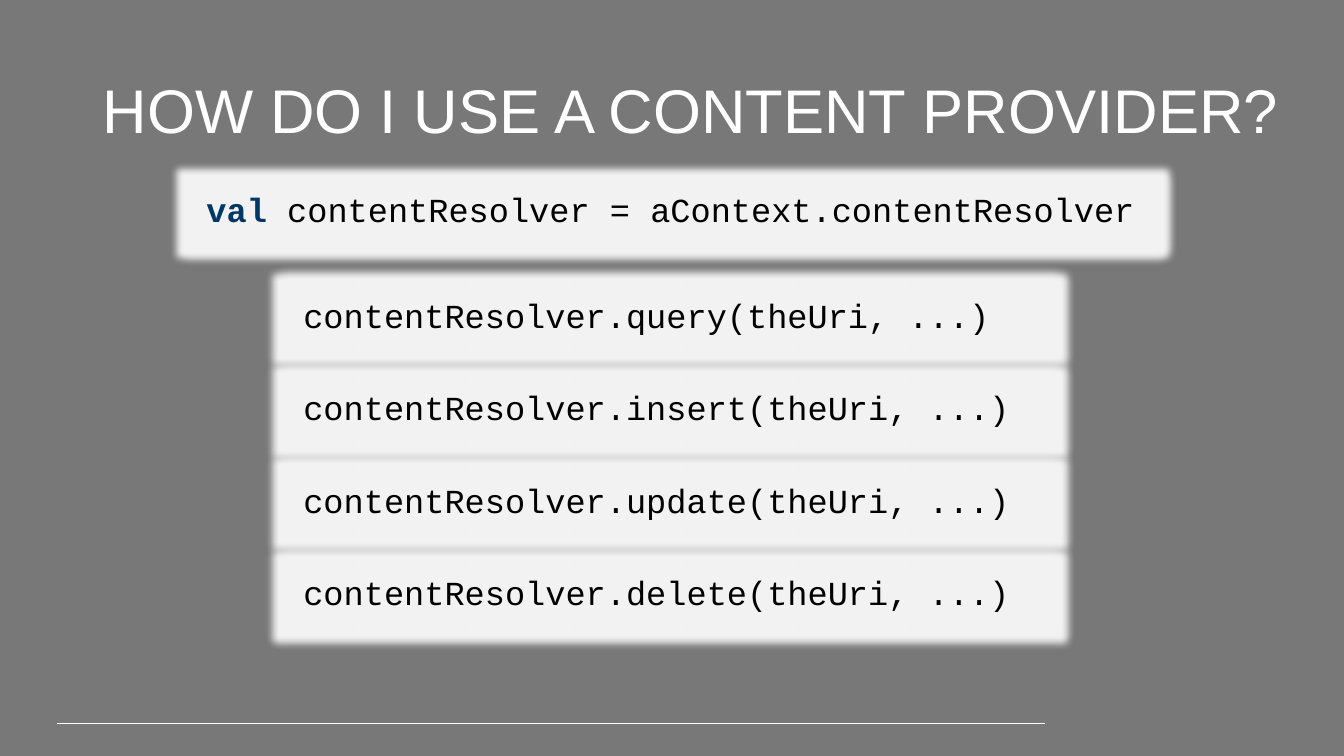
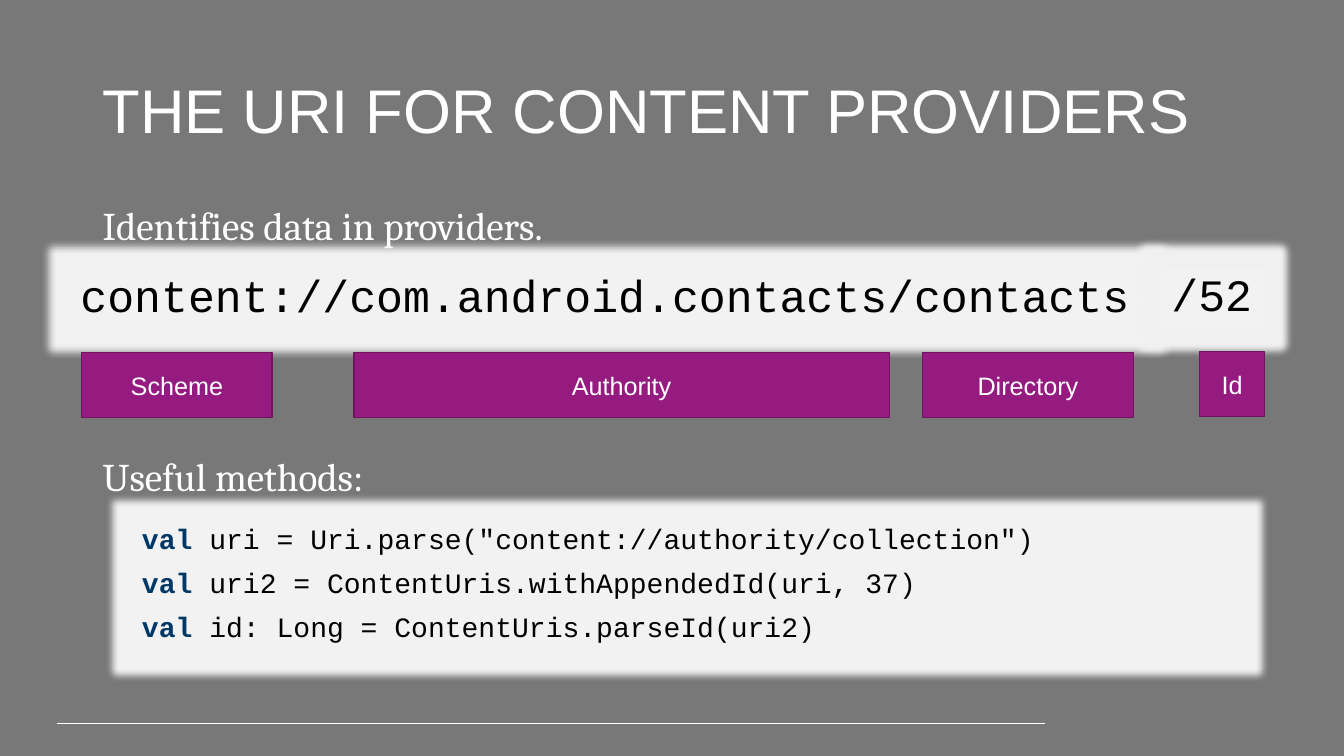
from dataclasses import dataclass

from lxml.etree import SubElement
from pptx import Presentation
from pptx.dml.color import RGBColor
from pptx.enum.shapes import MSO_CONNECTOR, MSO_SHAPE
from pptx.enum.text import MSO_ANCHOR, MSO_AUTO_SIZE, PP_ALIGN
from pptx.oxml.ns import qn
from pptx.util import Inches, Pt


@dataclass(frozen=True)
class Theme:
    background: str = "787878"
    light: str = "FFFFFF"
    panel: str = "F2F2F2"
    code: str = "000000"
    keyword: str = "003865"
    label_fill: str = "961B81"
    label_line: str = "6F145F"
    title_font: str = "Arial"
    body_font: str = "Cambria"
    code_font: str = "Courier New"
    title_size: int = 44
    body_size: int = 28
    label_size: int = 18
    uri_size: int = 32
    call_size: int = 24
    sample_size: int = 20
    line_spacing: float = 0.9
    paragraph_gap: int = 10
    glow_radius: float = 0.15


class Deck:
    def __init__(self, theme):
        self.theme = theme
        self.deck = Presentation()
        self.deck.slide_width = Inches(13.33)
        self.deck.slide_height = Inches(7.5)
        self.page = None

    def add_page(self, title, title_width=11.5):
        self.page = self.deck.slides.add_slide(self.deck.slide_layouts[6])
        fill = self.page.background.fill
        fill.solid()
        fill.fore_color.rgb = RGBColor.from_string(self.theme.background)
        self.footer_rule()
        self.text((0.92, 0.4, title_width, 1.45), title, self.theme.title_font,
                  self.theme.title_size, MSO_ANCHOR.MIDDLE)

    def footer_rule(self):
        rule = self.page.shapes.add_connector(
            MSO_CONNECTOR.STRAIGHT, Inches(0.57), Inches(7.18), Inches(10.36), Inches(7.18))
        rule.line.color.rgb = RGBColor.from_string(self.theme.light)
        rule.line.width = Pt(0.75)
        SubElement(rule._element.spPr, qn("a:effectLst"))

    def text(self, place, words, font, size, anchor=MSO_ANCHOR.TOP):
        box = self.page.shapes.add_textbox(*map(Inches, place))
        self.set_frame(box, word_wrap=True, vertical_anchor=anchor)
        para = box.text_frame.paragraphs[0]
        para.line_spacing = self.theme.line_spacing
        self.add_span(para, words, self.theme.light, name=font, size=Pt(size))

    def body(self, top, words):
        self.text((0.92, top, 11.5, 0.67), words, self.theme.body_font, self.theme.body_size)

    def rectangle(self, place, fill):
        box = self.page.shapes.add_shape(MSO_SHAPE.RECTANGLE, *map(Inches, place))
        box.shadow.inherit = False
        box.fill.solid()
        box.fill.fore_color.rgb = RGBColor.from_string(fill)
        return box

    def code(self, place, lines, size):
        """Add a softly glowing panel of code with its leading keywords in bold."""
        box = self.rectangle(place, self.theme.panel)
        box.line.fill.background()
        self.add_glow(box)
        self.set_frame(box, word_wrap=True, vertical_anchor=MSO_ANCHOR.TOP,
                       auto_size=MSO_AUTO_SIZE.SHAPE_TO_FIT_TEXT)
        for index, line in enumerate(lines):
            para = box.text_frame.add_paragraph() if index else box.text_frame.paragraphs[0]
            para.alignment = PP_ALIGN.LEFT
            para.line_spacing = self.theme.line_spacing
            if index:
                para.space_before = Pt(self.theme.paragraph_gap)
            style = {"name": self.theme.code_font, "size": Pt(size)}
            keyword = "val " if line.startswith("val ") else ""
            if keyword:
                self.add_span(para, keyword, self.theme.keyword, bold=True, **style)
            self.add_span(para, line.removeprefix(keyword), self.theme.code, **style)

    def label(self, place, words):
        box = self.rectangle(place, self.theme.label_fill)
        box.line.color.rgb = RGBColor.from_string(self.theme.label_line)
        box.line.width = Pt(1)
        self.set_frame(box, word_wrap=True, vertical_anchor=MSO_ANCHOR.MIDDLE)
        para = box.text_frame.paragraphs[0]
        para.alignment = PP_ALIGN.CENTER
        self.add_span(para, words, self.theme.light, name=self.theme.title_font,
                      size=Pt(self.theme.label_size))

    def add_glow(self, box):
        effects = box._element.spPr.find(qn("a:effectLst"))
        glow = SubElement(effects, qn("a:glow"), rad=str(Inches(self.theme.glow_radius)))
        SubElement(glow, qn("a:srgbClr"), val=self.theme.panel)

    @staticmethod
    def set_frame(box, **formats):
        for name, value in formats.items():
            setattr(box.text_frame, name, value)

    @staticmethod
    def add_span(para, words, color, **formats):
        span = para.add_run()
        span.text = words
        span.font.color.rgb = RGBColor.from_string(color)
        for name, value in formats.items():
            setattr(span.font, name, value)


def add_usage_page(deck):
    size = deck.theme.call_size
    deck.add_page("HOW DO I USE A CONTENT PROVIDER?", title_width=11.96)
    deck.code((1.95, 1.87, 9.43, 0.47), ["val contentResolver = aContext.contentResolver"], size)
    methods = ("query", "insert", "update", "delete")
    first_top, last_top = 2.92, 5.67
    pitch = (last_top - first_top) / (len(methods) - 1)
    for row, method in enumerate(methods):
        deck.code((2.91, first_top + row * pitch, 7.45, 0.47),
                  [f"contentResolver.{method}(theUri, ...)"], size)


def add_uri_page(deck):
    deck.add_page("THE URI FOR CONTENT PROVIDERS")
    deck.body(2, "Identifies data in providers.")
    deck.code((0.7, 2.67, 10.63, 0.59), ["content://com.android.contacts/contacts"],
              deck.theme.uri_size)
    deck.code((11.52, 2.66, 1.02, 0.6), ["/52"], deck.theme.uri_size)
    for left, top, width, words in (
        (0.81, 3.5, 1.89, "Scheme"),
        (3.51, 3.5, 5.31, "Authority"),
        (9.15, 3.5, 2.09, "Directory"),
        (11.9, 3.49, 0.64, "Id"),
    ):
        deck.label((left, top, width, 0.64), words)
    deck.code((1.31, 5.16, 10.99, 1.3), [
        'val uri = Uri.parse("content://authority/collection")',
        "val uri2 = ContentUris.withAppendedId(uri, 37)",
        "val id: Long = ContentUris.parseId(uri2)",
    ], deck.theme.sample_size)
    deck.body(4.49, "Useful methods:")


def main():
    deck = Deck(Theme())
    add_usage_page(deck)
    add_uri_page(deck)
    deck.deck.save("out.pptx")


if __name__ == "__main__":
    main()
